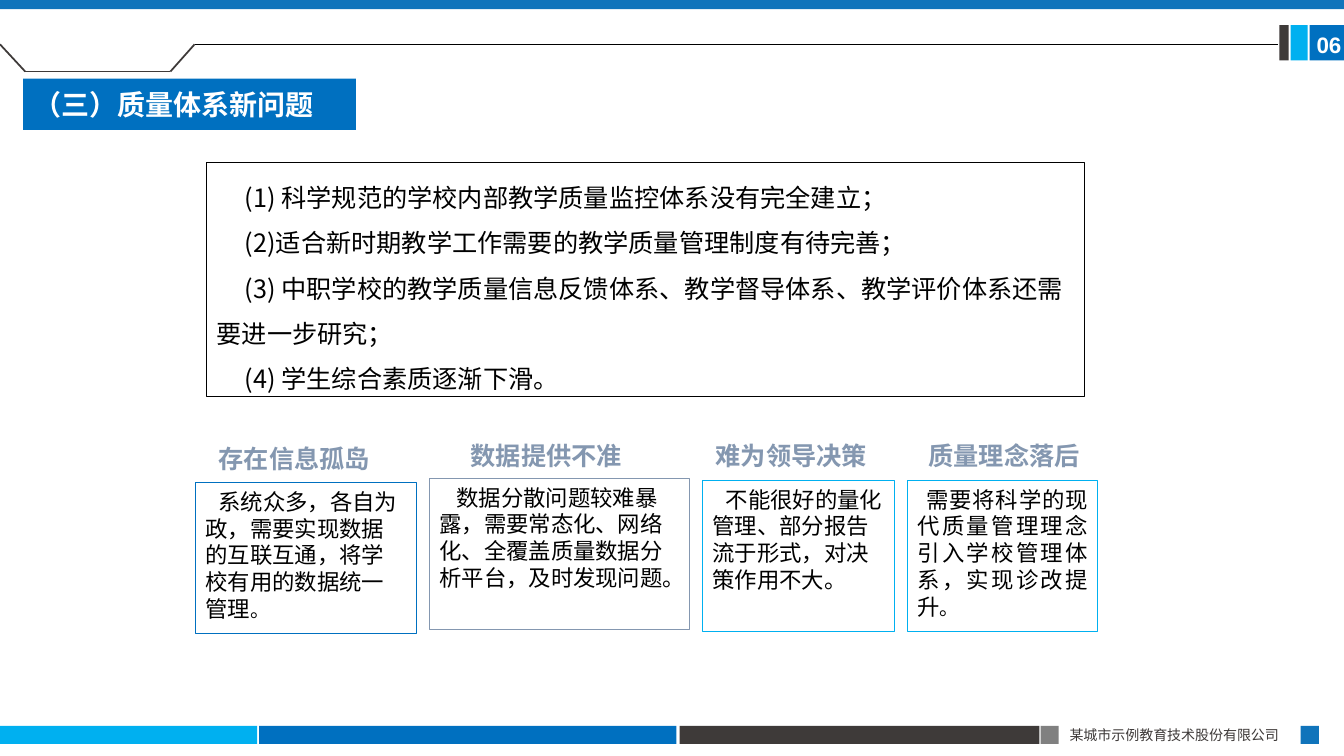
import itertools
import pptx
import pptx.dml.color
import pptx.enum.shapes
import pptx.enum.text
import pptx.oxml
import pptx.util

PX = 9144
CJK = "Noto Sans CJK SC"
PP = pptx.enum.text.PP_ALIGN
ANCHOR = pptx.enum.text.MSO_ANCHOR

TITLE = "（三）质量体系新问题"
PAGE = "06"
COMPANY = "某城市示例教育技术股份有限公司"
BARS = [
    (0, 720, 255, 18, "00B0F0"),
    (257, 720, 414, 18, "0070C0"),
    (674, 720, 357, 18, "3E3A39"),
    (1032, 720, 18, 18, "808080"),
    (1290, 720, 18, 18, "1074BB"),
    (1299, 25, 34, 35, "0070C0"),
    (1280, 25, 17, 35, "00B0F0"),
    (1269, 25, 9, 35, "3E3A39"),
    (0, 0, 1333, 9, "1074BB"),
]
HEADER_LINE = [(0, 44), (25, 71), (169, 71), (193, 44), (1268, 44)]
HEADER_STYLES = [("3E3A39", 1.25)] * 3 + [("000000", 0.5)]
PROBLEMS = [
    "(1) 科学规范的学校内部教学质量监控体系没有完全建立；",
    "(2)适合新时期教学工作需要的教学质量管理制度有待完善；",
    "(3) 中职学校的教学质量信息反馈体系、教学督导体系、教学评价体系还需要进一步研究；",
    "(4) 学生综合素质逐渐下滑。",
]
CARDS = [
    dict(name="存在信息孤岛", label=(207, 435), box=(194, 479, 219), line="0070C0", indent=13, align=PP.LEFT,
         runs=[("系统众多，各自为政，需要实现数据的互联互通，将学校有用的数据统一管理", 16), ("。", 14)]),
    dict(name="数据提供不准", label=(457, 432), box=(426, 475, 258), line="8497B0", indent=17, align=PP.LEFT,
         runs=[("数据分散问题较难暴露，需要常态化、网络化、全覆盖质量数据分析平台，及时发现问题。", 16)]),
    dict(name="难为领导决策", label=(700, 432), box=(697, 477, 190), line="00B0F0", indent=13, align=PP.LEFT,
         runs=[("不能很好的量化管理、部分报告流于形式，对决策作用不大。", 16)]),
    dict(name="质量理念落后", label=(911, 432), box=(900, 477, 189), line="00B0F0", indent=9, align=PP.JUSTIFY,
         runs=[("需要将科学的现代质量管理理念引入学校管理体系，实现诊改提升", 16), ("。", 14)]),
]
CARD_H = 150
LABEL_W, LABEL_H = 187, 42


def px(*values):
    return [v * PX for v in values]


def color(value):
    return pptx.dml.color.RGBColor.from_string(value)


def add_rect(s, x, y, w, h, fill=None, line=None):
    sp = s.shapes.add_shape(pptx.enum.shapes.MSO_SHAPE.RECTANGLE, *px(x, y, w, h))
    sp.shadow.inherit = False
    if fill:
        sp.fill.solid()
        sp.fill.fore_color.rgb = color(fill)
    else:
        sp.fill.background()
    if line:
        sp.line.color.rgb = color(line)
        sp.line.width = pptx.util.Pt(0.75)
    else:
        sp.line.fill.background()
    return sp


def format_run(r, size, hue="000000", bold=False, font=CJK):
    r.font.size = pptx.util.Pt(size)
    r.font.bold = bold
    r.font.name = font
    r.font.color.rgb = color(hue)
    ea = pptx.oxml.parse_xml(
        f'<a:ea xmlns:a="http://schemas.openxmlformats.org/drawingml/2006/main" typeface="{font}"/>')
    r.font._element.find(pptx.oxml.ns.qn("a:latin")).addnext(ea)


def write(sp, paragraphs, align=PP.LEFT, indent=0, spacing=None, anchor=ANCHOR.TOP, wrap=True, **style):
    tf = sp.text_frame
    tf.word_wrap = wrap
    tf.auto_size = pptx.enum.text.MSO_AUTO_SIZE.NONE
    tf.vertical_anchor = anchor
    for i, runs in enumerate(paragraphs):
        p = tf.add_paragraph() if i else tf.paragraphs[0]
        p.alignment = align
        if spacing:
            p.line_spacing = spacing
        if indent:
            p._p.get_or_add_pPr().set("indent", str(indent * PX))
        for text, size in runs:
            r = p.add_run()
            r.text = text
            format_run(r, size, **style)


def add_label(s, x, y, w, h, text, size, **style):
    sp = s.shapes.add_textbox(*px(x, y, w, h))
    write(sp, [[(text, size)]], **style)


def add_line(s, start, end, hue, width):
    c = s.shapes.add_connector(pptx.enum.shapes.MSO_CONNECTOR.STRAIGHT, *px(*start, *end))
    c.line.color.rgb = color(hue)
    c.line.width = pptx.util.Pt(width)
    c._element.spPr.append(pptx.oxml.xmlchemy.OxmlElement("a:effectLst"))


def main():
    prs = pptx.Presentation()
    prs.slide_width, prs.slide_height = px(1333, 750)
    s = prs.slides.add_slide(prs.slide_layouts[5])

    for bar in BARS:
        add_rect(s, *bar)
    for (start, end), style in zip(itertools.pairwise(HEADER_LINE), HEADER_STYLES):
        add_line(s, start, end, *style)
    add_label(s, 1296, 26, 50, 37, PAGE, 16, hue="FFFFFF", bold=True, font="Arial", wrap=False)
    add_label(s, 1051, 716, 240, 27, COMPANY, 10, hue="3E3A39", align=PP.JUSTIFY)

    title = s.shapes.title
    title.left, title.top, title.width, title.height = px(23, 78, 330, 51)
    title.fill.solid()
    title.fill.fore_color.rgb = color("0070C0")
    write(title, [[(TITLE, 20)]], anchor=ANCHOR.MIDDLE, hue="FFFFFF", bold=True)

    problems = add_rect(s, 205, 161, 871, 232, line="000000")
    write(problems, [[(text, 18)] for text in PROBLEMS], indent=28, spacing=1.5)

    for card in CARDS:
        sp = add_rect(s, *card["box"], CARD_H, line=card["line"])
        write(sp, [card["runs"]], align=card["align"], indent=card["indent"])
        add_label(s, *card["label"], LABEL_W, LABEL_H, card["name"], 18, hue="8497B0", bold=True)

    prs.save("out.pptx")


if __name__ == "__main__":
    main()
